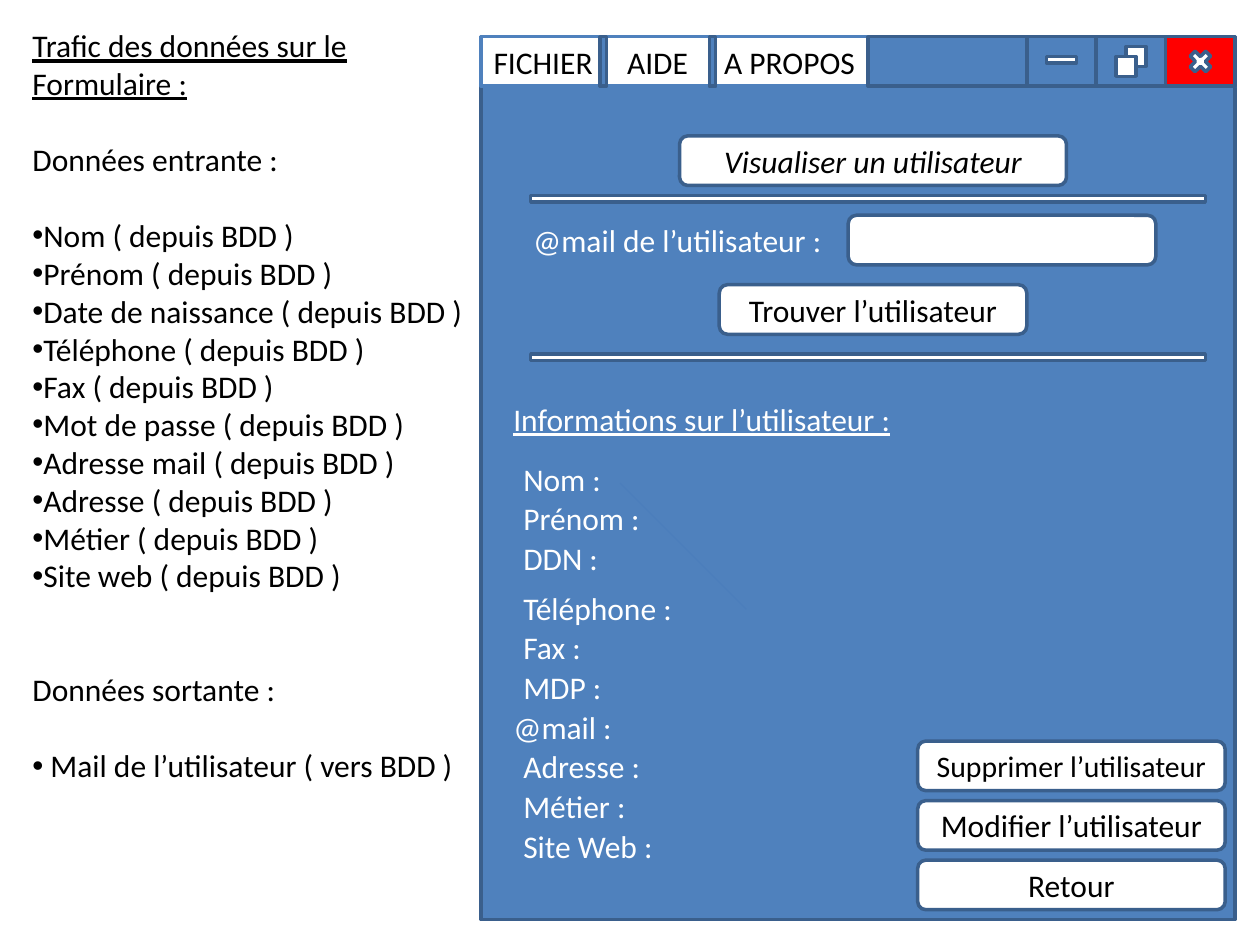
from collections import namedtuple
from lxml import etree
from pptx import Presentation
from pptx.dml.color import RGBColor
from pptx.enum.shapes import MSO_CONNECTOR, MSO_SHAPE
from pptx.enum.text import MSO_ANCHOR, MSO_AUTO_SIZE, PP_ALIGN
from pptx.oxml.ns import qn
from pptx.util import Cm, Inches, Pt

RECTANGLE, ROUNDED = MSO_SHAPE.RECTANGLE, MSO_SHAPE.ROUNDED_RECTANGLE
CROSS, STRAIGHT = MSO_SHAPE.MATH_MULTIPLY, MSO_CONNECTOR.STRAIGHT
LEFT, CENTER = PP_ALIGN.LEFT, PP_ALIGN.CENTER
TOP, MIDDLE = MSO_ANCHOR.TOP, MSO_ANCHOR.MIDDLE
NO_FIT = MSO_AUTO_SIZE.NONE

COLORS = {"panel": "4F81BD", "border": "3A5F8C", "white": "FFFFFF",
          "black": "000000", "close": "FF0000", "diagonal": "4B7EBC"}
CELL = Cm(1)
LINE_HEIGHT = 21.8
Box = namedtuple("Box", "column row columns rows")

INCOMING = ["Nom", "Prénom", "Date de naissance", "Téléphone", "Fax",
            "Mot de passe", "Adresse mail", "Adresse", "Métier", "Site web"]
IDENTITY = ["Nom :", "Prénom :", "DDN :"]
CONTACT = ["Téléphone :", "Fax :", "MDP :", "@mail :", "Adresse :",
           "Métier :", "Site Web :"]
ACTIONS = [("Supprimer l’utilisateur", 17), ("Modifier l’utilisateur", 18),
           ("Retour", 18)]


def color(name):
    return RGBColor.from_string(COLORS[name])


def inside(box, column, row, columns, rows):
    return Box(box.column + column, box.row + row, columns, rows)


def lengths(box):
    return [int(value * CELL) for value in box]


def format_font(para, tone, size=18, italic=False, underline=False):
    for span in para.runs:
        font = span.font
        font.name, font.size = "Calibri", Pt(size)
        font.italic, font.underline = italic, underline
        font.color.rgb = color(tone)


def add_block(page, box, kind=RECTANGLE, fill="panel", border="border"):
    block = page.shapes.add_shape(kind, *lengths(box))
    block.shadow.inherit = False
    block.fill.solid()
    block.fill.fore_color.rgb = color(fill)
    block.line.color.rgb = color(border)
    block.line.width = Pt(2)
    return block


def add_button(page, box, text, size=18, italic=False):
    frame = add_block(page, box, ROUNDED, "white").text_frame
    frame.word_wrap = False
    frame.vertical_anchor = MIDDLE
    frame.text = text
    frame.paragraphs[0].alignment = CENTER
    format_font(frame.paragraphs[0], "black", size, italic)


def add_label(page, box, text, tone="white", underline=False):
    frame = page.shapes.add_textbox(*lengths(box)).text_frame
    frame.word_wrap = False
    frame.text = text
    format_font(frame.paragraphs[0], tone, underline=underline)
    return frame.paragraphs[0]


def place_placeholder(holder, box):
    holder.left, holder.top, holder.width, holder.height = lengths(box)
    frame = holder.text_frame
    frame.word_wrap, frame.auto_size = False, NO_FIT
    frame.vertical_anchor = TOP
    return frame


def add_data_notes(page, box):
    title = place_placeholder(page.shapes.title, inside(box, 0, 0, box.columns, 1.8))
    title.text = "Trafic des données sur le\nFormulaire :"
    for para in title.paragraphs:
        para.alignment = LEFT
        format_font(para, "black", underline=True)

    body = place_placeholder(page.placeholders[1],
                             inside(box, 0, 2.3, box.columns, box.rows - 2.3))
    incoming = [f"{name} ( depuis BDD )" for name in INCOMING]
    outgoing = [" Mail de l’utilisateur ( vers BDD )"]
    headings = {"Données entrante :": 0, "Données sortante :": 2}
    first, second = headings
    body.text = "\n".join([first, *incoming, second, *outgoing])
    for para in body.paragraphs:
        heading = para.text in headings
        para.space_before = Pt(headings.get(para.text, 0) * LINE_HEIGHT)
        para.space_after = Pt(LINE_HEIGHT if heading else 0)
        format_font(para, "black")
        settings = para._p.get_or_add_pPr()
        settings.set("marL", "0")
        settings.set("indent", "0")
        if heading:
            etree.SubElement(settings, qn("a:buNone"))
        else:
            etree.SubElement(settings, qn("a:buFont"), typeface="Arial")
            etree.SubElement(settings, qn("a:buChar"), char="•")


def add_menu_bar(page, box):
    add_block(page, box, fill="white", border="panel")
    for column, fill in ((13.8, "close"), (12.4, "panel"), (11, "panel")):
        add_block(page, inside(box, column, 0, 1.4, box.rows), fill=fill)
    add_block(page, inside(box, 11.4, 0.4, 0.6, 0.13), fill="white")
    add_block(page, inside(box, 14.2, 0.2, 0.6, 0.6), CROSS, "white")
    for column, row in ((13, 0.2), (12.8, 0.4)):
        add_block(page, inside(box, column, row, 0.4, 0.4), fill="white")

    menu = add_label(page, inside(box, 0, 0, 11, box.rows),
                     "FICHIER\tAIDE\tA PROPOS", "black")
    tabs = etree.SubElement(menu._p.get_or_add_pPr(), qn("a:tabLst"))
    for position in (1.06, 1.83):
        etree.SubElement(tabs, qn("a:tab"), pos=str(Inches(position)), algn="l")

    for column, columns in ((7.8, 3.2), (2.4, 0.13), (4.6, 0.13)):
        add_block(page, inside(box, column, 0, columns, box.rows))


def add_search(page, box):
    add_button(page, inside(box, 4, 0, 7.8, 1), "Visualiser un utilisateur", italic=True)
    for row in (1.2, 4.4):
        add_block(page, inside(box, 1, row, 13.6, 0.13), fill="white")
    add_label(page, inside(box, 0.8, 1.6, 6.4, 1), "@mail de l’utilisateur :")
    add_block(page, inside(box, 7.4, 1.6, 6.2, 1), ROUNDED, "white")
    add_button(page, inside(box, 4.8, 3, 6.2, 1), "Trouver l’utilisateur")


def add_details(page, box):
    add_label(page, inside(box, 0.4, 0, 8.2, 1), "Informations sur l’utilisateur :",
              underline=True)
    for start, names in ((1.2, IDENTITY), (3.8, CONTACT)):
        for index, name in enumerate(names):
            column = 0.4 if name.startswith("@") else 0.6
            add_label(page, inside(box, column, start + 0.8 * index, 3.5, 1), name)

    left, top, width, height = lengths(inside(box, 2.8, 1.8, 2.54, 2.54))
    diagonal = page.shapes.add_connector(STRAIGHT, left, top, left + width, top + height)
    diagonal.line.color.rgb = color("diagonal")
    diagonal.line.width = Pt(0.75)
    etree.SubElement(diagonal._element.spPr, qn("a:effectLst"))


def add_actions(page, box):
    for index, (text, size) in enumerate(ACTIONS):
        add_button(page, inside(box, 0, 1.2 * index, box.columns, 1), text, size)


def add_window(page, box):
    add_block(page, box)
    add_menu_bar(page, inside(box, 0, 0, box.columns, 1))
    add_search(page, inside(box, 0, 2, box.columns, 4.6))
    add_details(page, inside(box, 0, 7.2, box.columns, 9.6))
    add_actions(page, inside(box, 8.8, 14.2, 6.2, 3.4))


def main():
    deck = Presentation()
    deck.slide_width, deck.slide_height = Inches(10), Inches(7.5)
    page = deck.slides.add_slide(deck.slide_layouts[1])
    add_data_notes(page, Box(0.4, 0.4, 9.3, 15.65))
    add_window(page, Box(9.7, 0.74, 15.2, 17.8))
    deck.save("out.pptx")


if __name__ == "__main__":
    main()
